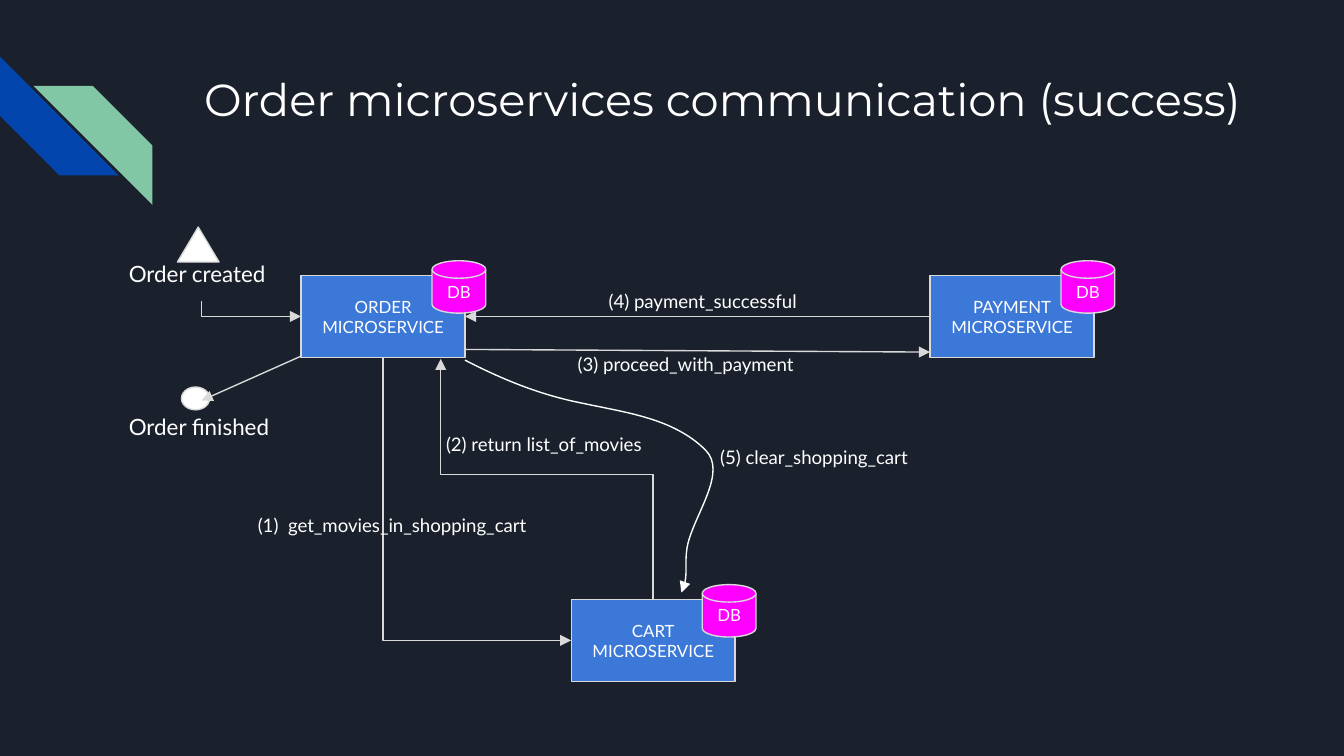
import pptx
import pptx.dml.color
import pptx.enum.shapes
import pptx.enum.text
import pptx.oxml
import pptx.oxml.ns
import pptx.util

qn = pptx.oxml.ns.qn
SHAPE = pptx.enum.shapes.MSO_SHAPE
LINE = pptx.enum.shapes.MSO_CONNECTOR
ALIGN = pptx.enum.text.PP_ALIGN
ANCHOR = pptx.enum.text.MSO_ANCHOR
TOP, LEFT, BOTTOM, RIGHT = range(4)

THEME = {
    "background": "1B212C", "text": "FFFFFF", "outline": "D9D9D9",
    "service": "3C78D8", "database": "FF00FF", "marker": "FFFFFF",
    "stripe_back": "0145AC", "stripe_front": "82C7A5",
    "title_font": "Montserrat", "body_font": "Lato",
    "title": 24, "state": 12, "message": 10, "node": 9, "line": 0.75,
}

# All positions are in cells of a grid with 100 columns and 56.25 rows (16:9).
COLUMNS, ROWS = 100, 56.25
CELL = pptx.util.Inches(10) / COLUMNS

SERVICE_SIZE = (12.2, 6.1)
DATABASE_SIZE = (4, 3.9)
DATABASE_OFFSET = (9.75, -1.1)
SERVICES = {"CART": (42.5, 44.6), "ORDER": (22.4, 20.5), "PAYMENT": (69.2, 20.5)}

TITLE = ("Order microservices communication (success)", (14.2, 4.35, 81, 10))
STATES = [
    ("Order created", (8.6, 18.35, 12.9, 4), SHAPE.ISOSCELES_TRIANGLE, (13.2, 16.9, 3.1, 2.6)),
    ("Order finished", (8.6, 29.75, 12.9, 4), SHAPE.OVAL, (13.5, 28.8, 2.1, 1.7)),
]
MESSAGES = [
    ("(1)  get_movies_in_shopping_cart", (18.2, 37.4, 23, 3.7)),
    ("(2) return list_of_movies", (32.2, 31.4, 16.9, 3.7)),
    ("(3) proceed_with_payment", (42, 25.4, 19, 3.7)),
    ("(4) payment_successful", (44.3, 20.7, 16.9, 3.7)),
    ("(5) clear_shopping_cart", (52.6, 32.35, 16.9, 3.7)),
]
# An end is a grid point or a (service, side) pair.
STRAIGHT_ARROWS = [
    (("PAYMENT", LEFT), ("ORDER", RIGHT)),
    ((34.6, 26), (69.2, 26.2)),
    ((22.4, 26.5), (15, 29.8)),
]
# The last value is the share of the way at which a three-part elbow turns.
ELBOW_ARROWS = [
    (("ORDER", BOTTOM), ("CART", LEFT), None),
    ((15, 22.4), ("ORDER", LEFT), None),
    (("CART", TOP), (32.8, 26.7), 0.52),
]
CLEAR_CART_START = (34.6, 26.8)
CLEAR_CART_CURVES = [
    (37.3, 28.2), (40.2, 29.4), (43.3, 30),
    (46.5, 30.7), (50.1, 31.1), (52.5, 33.5),
    (54.1, 35.1), (51.8, 38.1), (51.2, 40.4),
    (50.9, 41.6), (51.3, 43), (50.7, 44.1),
]
CLEAR_CART_WIDTH = 18.5


def cells(values):
    return [pptx.util.Emu(round(value * CELL)) for value in values]


def color(name):
    return pptx.dml.color.RGBColor.from_string(THEME[name])


def write(shape, text, size, font="body_font", align=ALIGN.LEFT, anchor=ANCHOR.TOP, inset=1):
    frame = shape.text_frame
    margin = cells([inset])[0]
    settings = {"word_wrap": True, "vertical_anchor": anchor, "margin_left": margin,
                "margin_right": margin, "margin_top": margin, "margin_bottom": margin}
    for name, value in settings.items():
        setattr(frame, name, value)
    frame.text = text
    for paragraph in frame.paragraphs:
        paragraph.alignment = align
        for run in paragraph.runs:
            run.font.name = THEME[font]
            run.font.size = pptx.util.Pt(THEME[size])
            run.font.color.rgb = color("text")


def add_label(slide, text, box, size, font="body_font"):
    write(slide.shapes.add_textbox(*cells(box)), text, size, font)


def add_figure(slide, kind, box, fill, outline=True):
    figure = slide.shapes.add_shape(kind, *cells(box))
    figure.shadow.inherit = False
    figure.fill.solid()
    figure.fill.fore_color.rgb = color(fill)
    if outline:
        figure.line.color.rgb = color("outline")
        figure.line.width = pptx.util.Pt(THEME["line"])
    else:
        figure.line.fill.background()
    return figure


def add_service(slide, name, corner):
    service = add_figure(slide, SHAPE.RECTANGLE, corner + SERVICE_SIZE, "service")
    write(service, f"{name}\nMICROSERVICE", "node", align=ALIGN.CENTER, anchor=ANCHOR.MIDDLE, inset=0)
    place = tuple(start + shift for start, shift in zip(corner, DATABASE_OFFSET))
    database = add_figure(slide, SHAPE.FLOWCHART_MAGNETIC_DISK, place + DATABASE_SIZE, "database")
    write(database, "DB", "node", align=ALIGN.CENTER, anchor=ANCHOR.MIDDLE, inset=0)
    return service


def point_line(shape, tone):
    """Style the line of a connector or curve and give it an arrowhead."""
    shape.line.color.rgb = color(tone)
    shape.line.width = pptx.util.Pt(THEME["line"])
    shape.line._get_or_add_ln().append(pptx.oxml.parse_xml(
        f'<a:tailEnd {pptx.oxml.ns.nsdecls("a")} type="triangle"/>'))


def add_arrow(slide, kind, start, end, services):
    points = [(0, 0) if place[0] in services else place for place in (start, end)]
    arrow = slide.shapes.add_connector(kind, *cells(points[0] + points[1]))
    for place, join in ((start, arrow.begin_connect), (end, arrow.end_connect)):
        if place[0] in services:
            join(services[place[0]], place[1])
    point_line(arrow, "outline")
    properties = arrow._element.spPr
    properties.append(properties.makeelement(qn("a:effectLst"), {}))
    return arrow


def leave_vertically(arrow, turn):
    """Turn an elbow so that its first part runs up or down."""
    across, down = arrow.end_x - arrow.begin_x, arrow.end_y - arrow.begin_y
    middle_x, middle_y = arrow.begin_x + across / 2, arrow.begin_y + down / 2
    width, height = abs(down), abs(across)
    frame = {"left": round(middle_x - width / 2), "top": round(middle_y - height / 2),
             "width": width, "height": height}
    for name, value in frame.items():
        setattr(arrow, name, value)
    transform = arrow._element.spPr.find(qn("a:xfrm"))
    transform.attrib.pop("flipV", None)
    transform.set("flipH", "1")
    transform.set("rot", str((270 if down > 0 else 90) * 60000))
    geometry = arrow._element.spPr.find(qn("a:prstGeom"))
    if turn is None:
        geometry.set("prst", "bentConnector2")
    else:
        guides = geometry.get_or_add_avLst()
        guides.append(guides.makeelement(
            qn("a:gd"), {"name": "adj1", "fmla": f"val {round(turn * 100000)}"}))


def add_curve(slide, start, controls, width):
    builder = slide.shapes.build_freeform(*cells(start))
    builder.add_line_segments([cells(point) for point in controls], close=False)
    curve = builder.convert_to_shape()
    outline = curve._element.spPr.find(".//" + qn("a:path"))
    segments = outline.findall(qn("a:lnTo"))
    for first in range(0, len(segments), 3):
        bezier = outline.makeelement(qn("a:cubicBezTo"), {})
        outline.append(bezier)
        for segment in segments[first:first + 3]:
            bezier.append(segment[0])
            outline.remove(segment)
    curve.width = cells([width])[0]
    outline.set("w", str(curve.width))
    curve.shadow.inherit = False
    curve.fill.background()
    point_line(curve, "text")


def main():
    deck = pptx.Presentation()
    deck.slide_width, deck.slide_height = cells((COLUMNS, ROWS))
    slide = deck.slides.add_slide(deck.slide_layouts[6])
    slide.background.fill.solid()
    slide.background.fill.fore_color.rgb = color("background")

    back = add_figure(slide, SHAPE.DIAGONAL_STRIPE, (0, 4.2, 8.85, 8.85), "stripe_back", False)
    back.rotation = 270
    front = add_figure(slide, SHAPE.DIAGONAL_STRIPE, (2.5, 6.4, 8.85, 8.85), "stripe_front", False)
    front._element.spPr.find(qn("a:xfrm")).set("flipH", "1")

    add_label(slide, *TITLE, "title", "title_font")
    services = {name: add_service(slide, name, corner) for name, corner in SERVICES.items()}
    for text, box, marker, marker_box in STATES:
        add_figure(slide, marker, marker_box, "marker")
        add_label(slide, text, box, "state")
    for start, end in STRAIGHT_ARROWS:
        add_arrow(slide, LINE.STRAIGHT, start, end, services)
    for start, end, turn in ELBOW_ARROWS:
        leave_vertically(add_arrow(slide, LINE.ELBOW, start, end, services), turn)
    add_curve(slide, CLEAR_CART_START, CLEAR_CART_CURVES, CLEAR_CART_WIDTH)
    for text, box in MESSAGES:
        add_label(slide, text, box, "message")
    deck.save("out.pptx")


if __name__ == "__main__":
    main()
